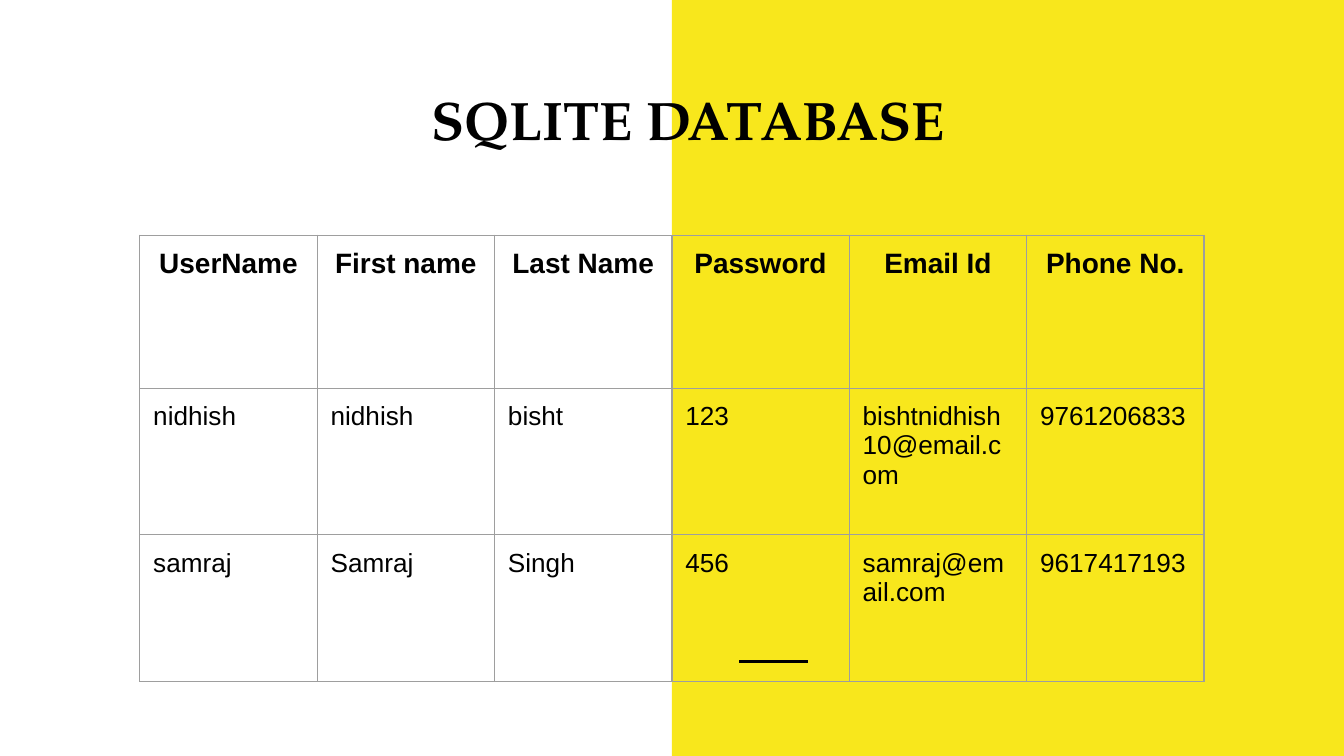
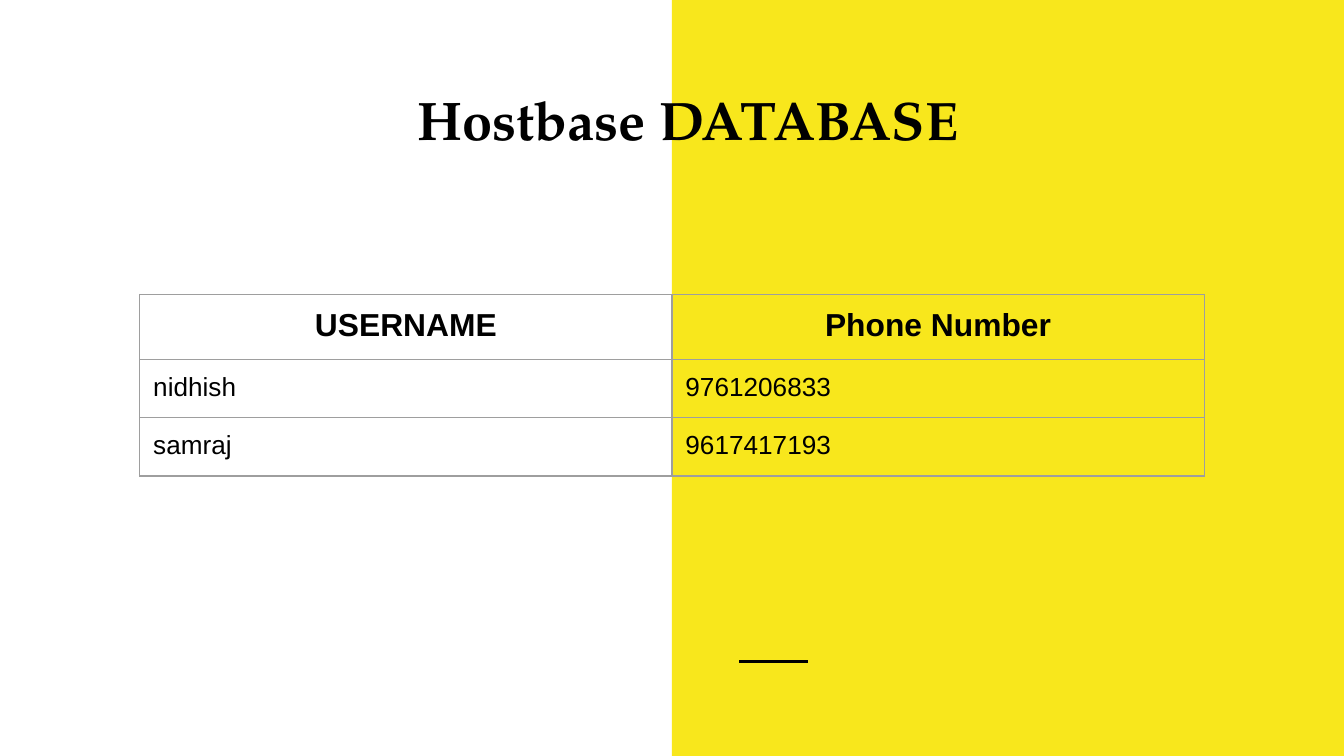
from lxml import etree
from pptx import Presentation
from pptx.dml.color import RGBColor
from pptx.enum.shapes import MSO_CONNECTOR, MSO_SHAPE
from pptx.enum.text import MSO_ANCHOR, MSO_AUTO_SIZE, PP_ALIGN
from pptx.oxml.ns import qn
from pptx.util import Inches, Pt

RECT = MSO_SHAPE.RECTANGLE
STRAIGHT = MSO_CONNECTOR.STRAIGHT
LEFT, CENTER = PP_ALIGN.LEFT, PP_ALIGN.CENTER
TOP = MSO_ANCHOR.TOP
GROW = MSO_AUTO_SIZE.SHAPE_TO_FIT_TEXT

BLACK = RGBColor(0x00, 0x00, 0x00)
YELLOW = RGBColor(0xF8, 0xE7, 0x1C)
GRAY = RGBColor(0x9E, 0x9E, 0x9E)

SERIF, SANS = "TeX Gyre Pagella", "Arial"
WIDE = 10
HIGH = WIDE * 9 / 16
PAD = Inches(0.1)
GRID_LEFT, GRID_WIDE = 1.04, 7.92

USERS = [
    ["UserName", "First name", "Last Name", "Password", "Email Id", "Phone No."],
    ["nidhish", "nidhish", "bisht", "123", "bishtnidhish10@email.com", "9761206833"],
    ["samraj", "Samraj", "Singh", "456", "samraj@email.com", "9617417193"],
]
PHONES = [
    ["USERNAME", "Phone Number"],
    ["nidhish", "9761206833"],
    ["samraj", "9617417193"],
]


def pad(box):
    box.margin_left = box.margin_right = PAD
    box.margin_top = box.margin_bottom = PAD


def write(frame, text, size, font, bold, align):
    para = frame.paragraphs[0]
    para.alignment = align
    run = para.add_run()
    run.text = text
    run.font.name = font
    run.font.size = Pt(size)
    run.font.bold = bold
    run.font.color.rgb = BLACK


def add_decor(slide):
    """Put the yellow half and the short rule behind everything else."""
    band = slide.shapes.add_shape(
        RECT, Inches(WIDE / 2), 0, Inches(WIDE / 2), Inches(HIGH))
    band.shadow.inherit = False
    band.fill.solid()
    band.fill.fore_color.rgb = YELLOW
    band.line.fill.background()

    rule = slide.shapes.add_connector(
        STRAIGHT, Inches(5.5), Inches(4.92), Inches(6.01), Inches(4.92))
    rule.line.color.rgb = BLACK
    rule.line.width = Pt(1.5)
    etree.SubElement(rule._element.spPr, qn("a:effectLst"))

    tree = slide.shapes._spTree
    for spot, shape in enumerate((band, rule), start=2):
        tree.insert(spot, shape._element)


def add_title(slide, text):
    title = slide.shapes.title
    title.left, title.top = Inches(2.36), Inches(0.54)
    title.width, title.height = Inches(5.52), Inches(0.69)
    frame = title.text_frame
    pad(frame)
    frame.word_wrap = True
    frame.auto_size = GROW
    frame.vertical_anchor = TOP
    write(frame, text, 29, SERIF, True, CENTER)


def add_edges(cell):
    props = cell._tc.get_or_add_tcPr()
    for side in ("lnL", "lnR", "lnT", "lnB"):
        edge = etree.SubElement(props, qn(f"a:{side}"), w=str(Pt(0.75)))
        fill = etree.SubElement(edge, qn("a:solidFill"))
        etree.SubElement(fill, qn("a:srgbClr"), val=str(GRAY))


def add_grid(slide, top, rows, highs, head_size):
    count = len(rows[0])
    table = slide.shapes.add_table(
        len(rows), count, Inches(GRID_LEFT), Inches(top),
        Inches(GRID_WIDE), Inches(sum(highs))).table
    table.first_row = table.horz_banding = False
    for col in table.columns:
        col.width = Inches(GRID_WIDE / count)
    for r, (row, high) in enumerate(zip(rows, highs)):
        table.rows[r].height = Inches(high)
        head = r == 0
        for c, text in enumerate(row):
            cell = table.cell(r, c)
            pad(cell)
            add_edges(cell)
            cell.fill.background()
            write(cell.text_frame, text, head_size if head else 14,
                  SANS, head, CENTER if head else LEFT)


def add_page(deck, title):
    slide = deck.slides.add_slide(deck.slide_layouts[5])
    add_decor(slide)
    add_title(slide, title)
    return slide


def main():
    deck = Presentation()
    deck.slide_width, deck.slide_height = Inches(WIDE), Inches(HIGH)

    slide = add_page(deck, "SQLITE DATABASE")
    add_grid(slide, 1.75, USERS, [1.14, 1.09, 1.09], 15)

    slide = add_page(deck, "Hostbase DATABASE")
    add_grid(slide, 2.19, PHONES, [0.42] * 3, 17)

    deck.save("out.pptx")


if __name__ == "__main__":
    main()
